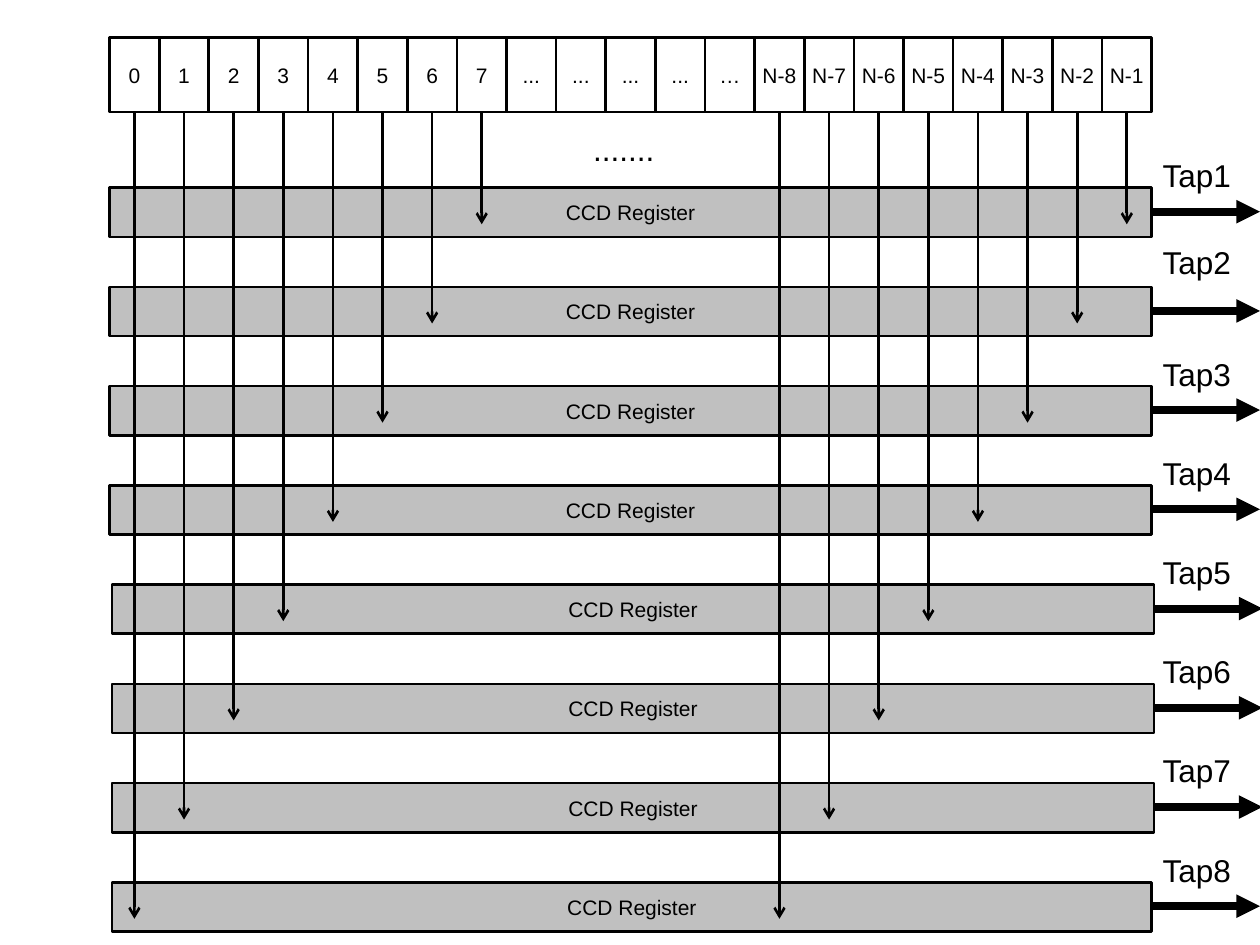
from pptx import Presentation
from pptx.dml.color import RGBColor
from pptx.enum.shapes import MSO_CONNECTOR, MSO_SHAPE
from pptx.enum.text import MSO_ANCHOR, MSO_AUTO_SIZE, PP_ALIGN
from pptx.oxml.ns import qn
from pptx.util import Inches, Pt
from lxml.etree import SubElement

COLORS = {"ink": "000000", "bar": "C0C0C0"}
LEFT, RIGHT = 0.87, 9.13
CELLS = ([str(i) for i in range(8)] + ["..."] * 4 + ["…"]
         + [f"N-{i}" for i in range(8, 0, -1)])
PITCH = 8.27 / len(CELLS)
STEP = 6.3 / 8
TAPS = 8


class Board:
    font = "Arial"

    def __init__(self, deck):
        self.slide = deck.slides.add_slide(deck.slide_layouts[6])

    def color(self, name):
        return RGBColor.from_string(COLORS[name])

    def text(self, frame, words, size):
        par = frame.paragraphs[0]
        run = par.add_run()
        run.text = words
        run.font.name = self.font
        run.font.size = Pt(size)
        run.font.color.rgb = self.color("ink")
        return par

    def box(self, x, y, w, h, words, fill=None):
        shape = self.slide.shapes.add_shape(
            MSO_SHAPE.RECTANGLE, Inches(x), Inches(y), Inches(w), Inches(h))
        shape.shadow.inherit = False
        if fill:
            shape.fill.solid()
            shape.fill.fore_color.rgb = self.color(fill)
        else:
            shape.fill.background()
        shape.line.color.rgb = self.color("ink")
        shape.line.width = Pt(1.5)
        frame = shape.text_frame
        frame.word_wrap = False
        frame.vertical_anchor = MSO_ANCHOR.MIDDLE
        self.text(frame, words, 12).alignment = PP_ALIGN.CENTER

    def label(self, x, y, w, words, gap=0):
        shape = self.slide.shapes.add_textbox(
            Inches(x), Inches(y), Inches(w), Inches(0.4))
        frame = shape.text_frame
        frame.word_wrap = True
        frame.auto_size = MSO_AUTO_SIZE.SHAPE_TO_FIT_TEXT
        self.text(frame, words, 18).space_before = Pt(gap)

    def arrow(self, x1, y1, x2, y2, width, head):
        line = self.slide.shapes.add_connector(
            MSO_CONNECTOR.STRAIGHT, Inches(x1), Inches(y1), Inches(x2), Inches(y2))
        line.line.color.rgb = self.color("ink")
        line.line.width = Pt(width)
        props = line._element.spPr
        SubElement(props.find(qn("a:ln")), qn("a:tailEnd"), type=head)
        SubElement(props, qn("a:effectLst"))


def main():
    deck = Presentation()
    deck.slide_width, deck.slide_height = Inches(10), Inches(7.5)
    board = Board(deck)

    for row in range(TAPS):
        x = LEFT if row < 4 else 0.89
        w = 8.25 if row == TAPS - 1 else 8.27
        board.box(x, 1.49 + row * STEP, w, 0.39, "CCD Register", "bar")

    for col, name in enumerate(CELLS):
        board.box(LEFT + col * PITCH, 0.3, PITCH, 0.59, name)

    for first in (0, len(CELLS) - TAPS):
        for i in range(TAPS):
            x = LEFT + (first + i + 0.5) * PITCH
            row = TAPS - 1 - i if first == 0 else i
            row = TAPS - 1 - i
            board.arrow(x, 0.9, x, 1.78 + row * STEP, 1.5, "arrow")

    for row in range(TAPS):
        x = 9.15 if 4 <= row < TAPS - 1 else RIGHT
        y = 1.68 + row * STEP
        board.arrow(x, y, x + 0.87, y, 4.5, "triangle")
        top = 1.88 if row == 1 else 1.19 + row * STEP
        board.label(RIGHT, top, 0.87, f"Tap{row + 1}", 11.2)

    board.label(4.61, 0.98, 0.69, ".......")
    deck.save("out.pptx")


if __name__ == "__main__":
    main()
